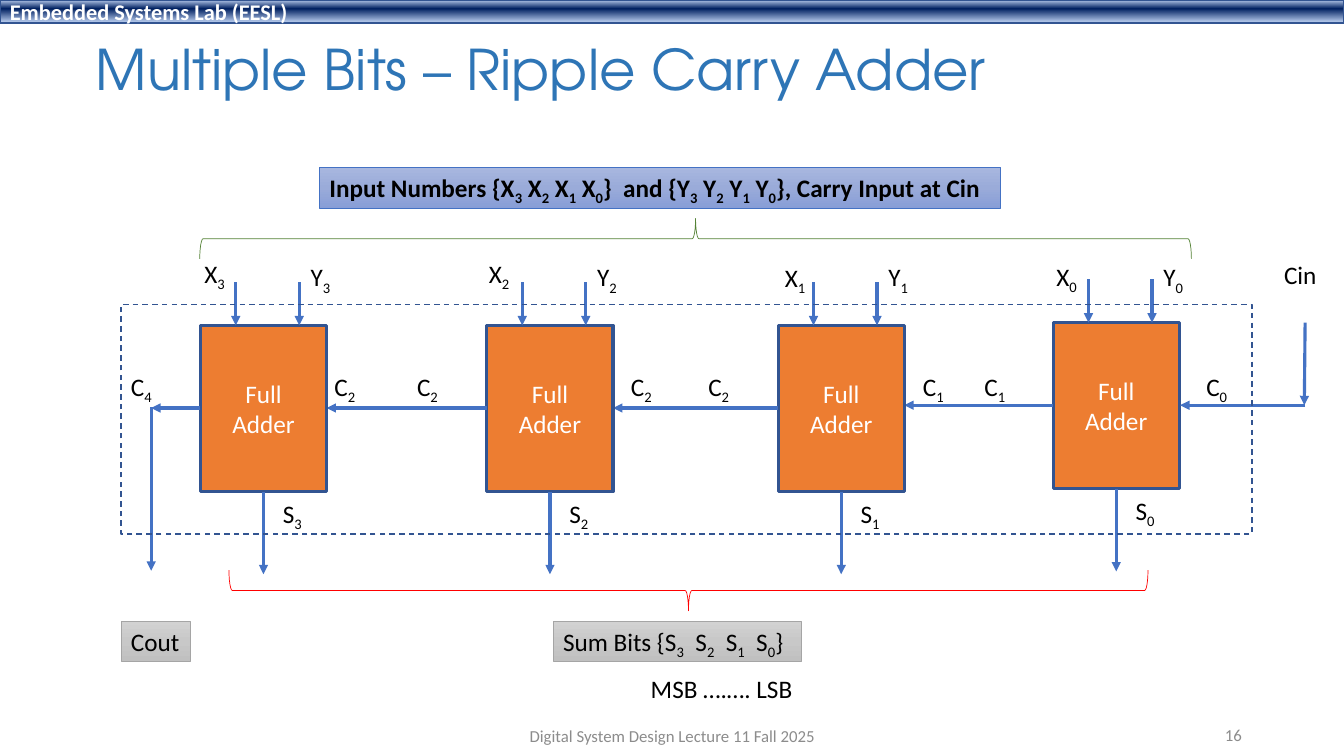
from copy import deepcopy

from lxml.etree import SubElement
from pptx import Presentation
from pptx.dml.color import RGBColor
from pptx.enum.dml import MSO_LINE
from pptx.enum.shapes import MSO_CONNECTOR, MSO_SHAPE
from pptx.enum.text import MSO_ANCHOR, PP_ALIGN
from pptx.oxml.ns import qn
from pptx.util import Cm, Pt

COLORS = {
    "title": "2E75B6", "black": "000000", "white": "FFFFFF", "footer": "8C8C8C",
    "adder": "ED7D31", "outline": "325491", "wire": "4472C4",
    "gray line": "A5A5A5", "input brace": "548235", "sum brace": "FF0000",
}
RGB = {name: RGBColor.from_string(value) for name, value in COLORS.items()}
BAR_STOPS = [(0.02, "ABC0E4"), (0.38, "002060"), (0.93, "ACC1E5")]
BLUE_STOPS = [(0, "A8B7DF"), (0.5, "9AABD9"), (1, "889ED7")]
GRAY_STOPS = [(0, "D2D2D2"), (0.5, "C8C8C8"), (1, "C0C0C0")]
LABEL_HEIGHT = 1.02


def write(shape, text, font="Calibri", size=18, color="black", bold=False,
          align=PP_ALIGN.LEFT, anchor=MSO_ANCHOR.TOP, wrap=False, spacing=None):
    """Fill a shape with text; the character after each underscore is a subscript."""
    frame = shape.text_frame
    frame.word_wrap = wrap
    frame.vertical_anchor = anchor
    for index, line in enumerate(text.split("\n")):
        paragraph = frame.add_paragraph() if index else frame.paragraphs[0]
        paragraph.alignment = align
        paragraph.line_spacing = spacing
        first, *rest = line.split("_")
        pieces = [(first, False)]
        for part in rest:
            pieces += [(part[0], True), (part[1:], False)]
        for piece, subscript in pieces:
            if not piece:
                continue
            run = paragraph.add_run()
            run.text = piece
            run.font.name = font
            run.font.size = Pt(size)
            run.font.bold = bold
            run.font.color.rgb = RGB[color]
            if subscript:
                run._r.get_or_add_rPr().set("baseline", "-25000")


def add_wire(start_x, start_y, end_x, end_y, arrow=True):
    wire = slide.shapes.add_connector(
        MSO_CONNECTOR.STRAIGHT, Cm(start_x), Cm(start_y), Cm(end_x), Cm(end_y))
    wire.line.color.rgb = RGB["wire"]
    wire.line.width = Pt(2.25)
    if arrow:
        SubElement(wire.line._get_or_add_ln(), qn("a:tailEnd"), type="triangle")
    SubElement(wire._element.spPr, qn("a:effectLst"))


presentation = Presentation()
presentation.slide_width, presentation.slide_height = Cm(33.87), Cm(19.05)
slide = presentation.slides.add_slide(presentation.slide_layouts[5])

title = slide.shapes.title
title.left, title.top, title.width, title.height = Cm(2.16), Cm(0.66), Cm(29.21), Cm(2.31)
write(title, "Multiple Bits – Ripple Carry Adder", font="TeX Gyre Adventor", size=40,
      color="title", anchor=MSO_ANCHOR.MIDDLE, wrap=True, spacing=0.9)

# Gradient boxes: frame, stops, line colour, line width, text, text format
header_format = {"size": 16, "color": "white", "bold": True,
                 "anchor": MSO_ANCHOR.MIDDLE, "wrap": True}
gradient_boxes = [
    ((0, 0, 33.87, 0.58), BAR_STOPS, "outline", 1,
     "Embedded Systems Lab (EESL)", header_format),
    ((8.05, 4.22, 17.17, LABEL_HEIGHT), BLUE_STOPS, "wire", 0.5,
     "Input Numbers {X_3 X_2 X_1 X_0}  and {Y_3 Y_2 Y_1 Y_0}, Carry Input at Cin",
     {"bold": True}),
    ((3.05, 15.65, 1.75, LABEL_HEIGHT), GRAY_STOPS, "gray line", 0.5, "Cout", {}),
    ((13.94, 15.65, 6.25, LABEL_HEIGHT), GRAY_STOPS, "gray line", 0.5,
     "Sum Bits {S_3  S_2  S_1  S_0}", {}),
]
for box, stops, line_color, line_width, text, text_format in gradient_boxes:
    shape = slide.shapes.add_shape(MSO_SHAPE.RECTANGLE, *map(Cm, box))
    shape.shadow.inherit = False
    shape.fill.gradient()
    shape.fill.gradient_angle = 270
    stop_list = shape._element.spPr.find(qn("a:gradFill")).find(qn("a:gsLst"))
    stop_list.append(deepcopy(stop_list[0]))
    for stop, (position, color) in zip(shape.fill.gradient_stops, stops):
        stop.position = position
        stop.color.rgb = RGBColor.from_string(color)
    shape.line.color.rgb = RGB[line_color]
    shape.line.width = Pt(line_width)
    write(shape, text, **text_format)

# Full adders from bit 0 to bit 3: left, top, and place of the X label
adder_width, adder_height = 3.18, 4.19
adders = [(26.54, 8.13, 26.37, 6.45), (19.61, 8.2, 19.53, 6.48),
          (12.27, 8.2, 12.07, 6.38), (5.05, 8.2, 4.9, 6.38)]
carry_out_x = 3.81
carry_ends = [left + adder_width for left, *_ in adders[1:]] + [carry_out_x]
labels = []
for bit, (left, top, x_left, x_top) in enumerate(adders):
    adder = slide.shapes.add_shape(
        MSO_SHAPE.RECTANGLE, Cm(left), Cm(top), Cm(adder_width), Cm(adder_height))
    adder.shadow.inherit = False
    adder.fill.solid()
    adder.fill.fore_color.rgb = RGB["adder"]
    adder.line.color.rgb = RGB["outline"]
    adder.line.width = Pt(2.25)
    write(adder, "Full\nAdder", color="white", align=PP_ALIGN.CENTER,
          anchor=MSO_ANCHOR.MIDDLE, wrap=True)
    for offset in (0.89, 2.49):
        add_wire(left + offset, top - 1.09, left + offset, top)
    middle = left + adder_width / 2
    bottom = top + adder_height
    add_wire(middle, bottom, middle, bottom + 2.08)
    carry_y = top + 2.08
    add_wire(left, carry_y, carry_ends[bit], carry_y)
    labels += [(x_left, x_top, 1.07, f"X_{bit}"),
               (left + 2.53, 6.47, 1.04, f"Y_{bit}"),
               (left + 1.83, bottom + 0.04, 1.02, f"S_{bit}")]

add_wire(carry_out_x, 10.26, carry_out_x, 14.38)
add_wire(32.89, 8.13, 32.87, 10.21)
add_wire(32.89, 10.21, 30.91, 10.21, arrow=False)
add_wire(31.04, 10.21, 29.74, 10.21)

carry_labels = [(3.05, 4), (8.18, 2), (10.26, 2), (15.65, 2),
                (17.6, 2), (23.01, 1), (24.56, 1), (30.15, 0)]
labels += [(left, 9.22, 1.07, f"C_{bit}") for left, bit in carry_labels]
labels += [(32.11, 6.4, 1.35, "Cin"), (16.15, 16.84, 4.27, "MSB ….…. LSB")]
for left, top, width, text in labels:
    label = slide.shapes.add_textbox(Cm(left), Cm(top), Cm(width), Cm(LABEL_HEIGHT))
    write(label, text)

# Dashed frame around the adder and the two braces
outlines = [
    (MSO_SHAPE.RECTANGLE, (3.05, 7.67, 28.5, 5.79), 0, "outline", 1),
    (MSO_SHAPE.RIGHT_BRACE, (16.84, 3.3, 1.02, 23.16), 90, "sum brace", 0.5),
    (MSO_SHAPE.RIGHT_BRACE, (17.02, -6.48, 1.02, 24.99), 270, "input brace", 0.5),
]
for kind, box, rotation, color, width in outlines:
    shape = slide.shapes.add_shape(kind, *map(Cm, box))
    shape.shadow.inherit = False
    shape.rotation = rotation
    shape.fill.background()
    shape.line.color.rgb = RGB[color]
    shape.line.width = Pt(width)
    if kind == MSO_SHAPE.RECTANGLE:
        shape.line.dash_style = MSO_LINE.DASH

footers = [((23.93, 18.01, 7.62, 1.02), "16", PP_ALIGN.RIGHT),
           ((11.23, 18.03, 11.43, 1.02), "Digital System Design Lecture 11 Fall 2025",
            PP_ALIGN.CENTER)]
for box, text, align in footers:
    footer = slide.shapes.add_textbox(*map(Cm, box))
    write(footer, text, size=12, color="footer", align=align,
          anchor=MSO_ANCHOR.MIDDLE, wrap=True)

presentation.save("out.pptx")
